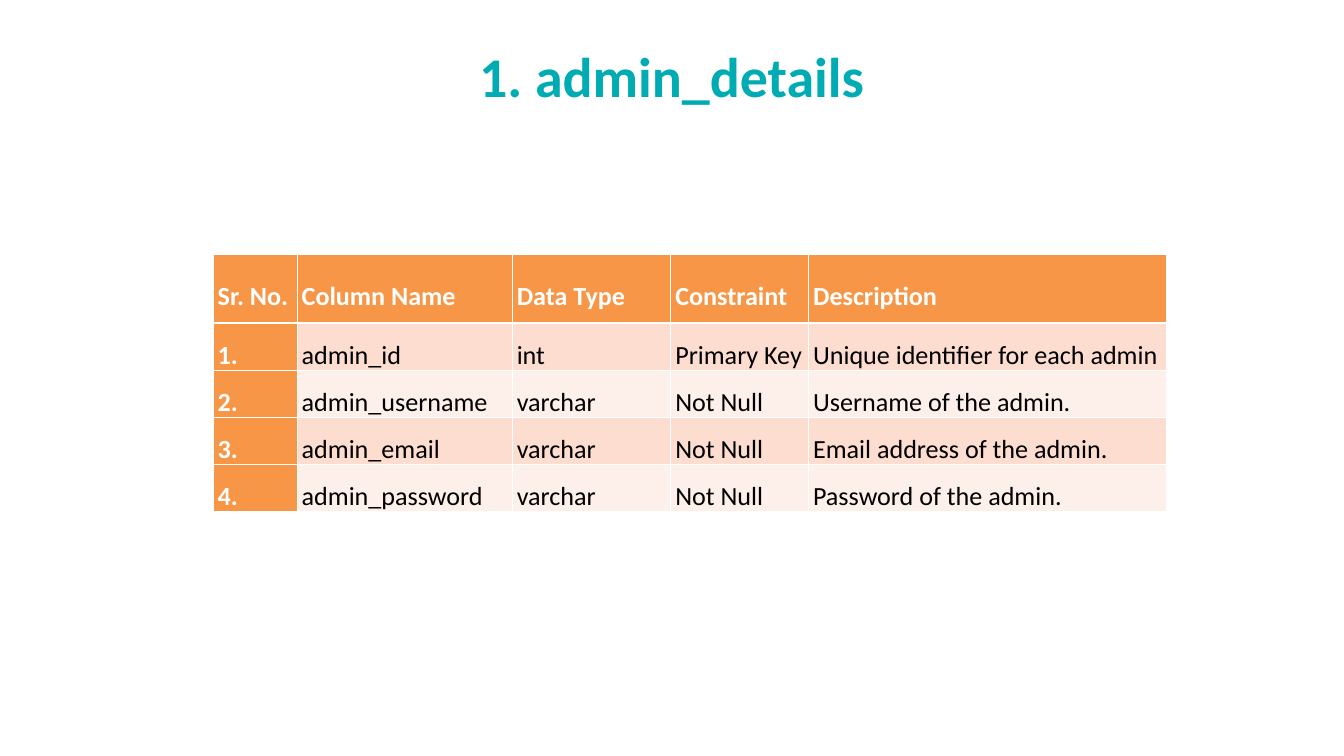
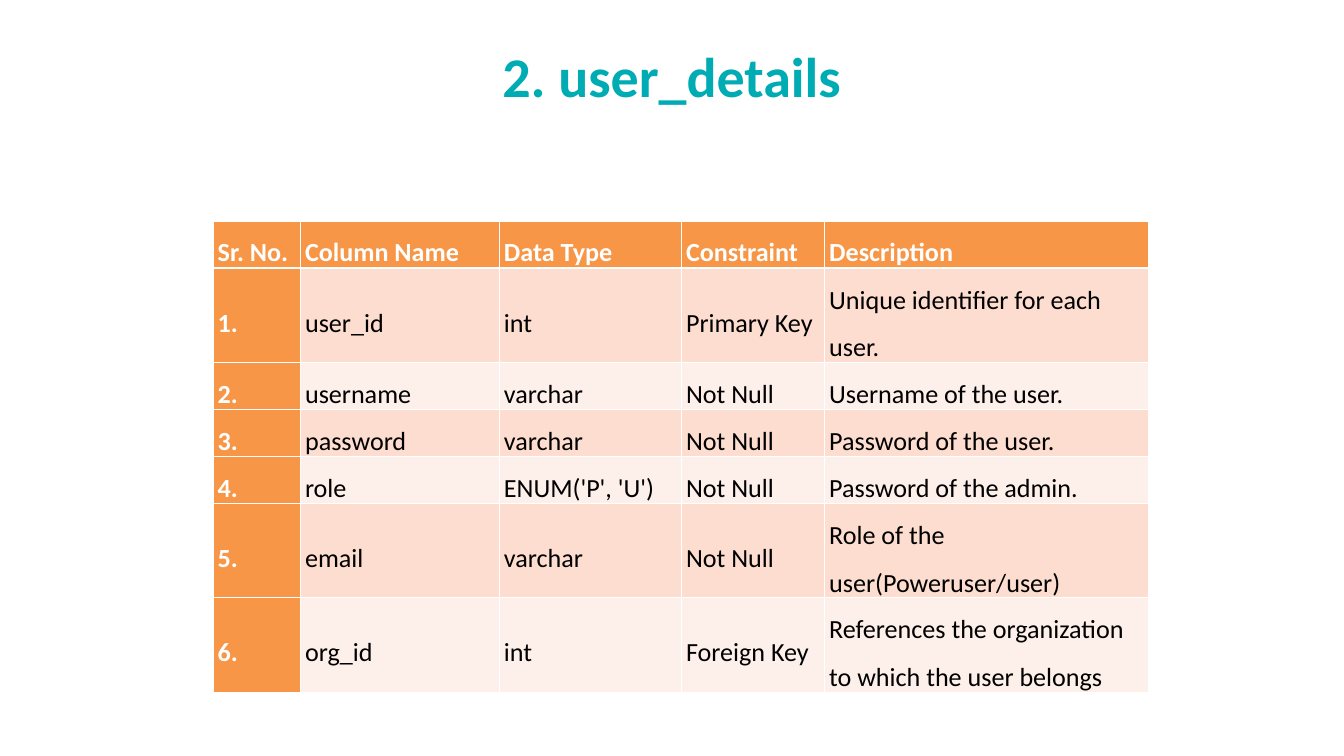
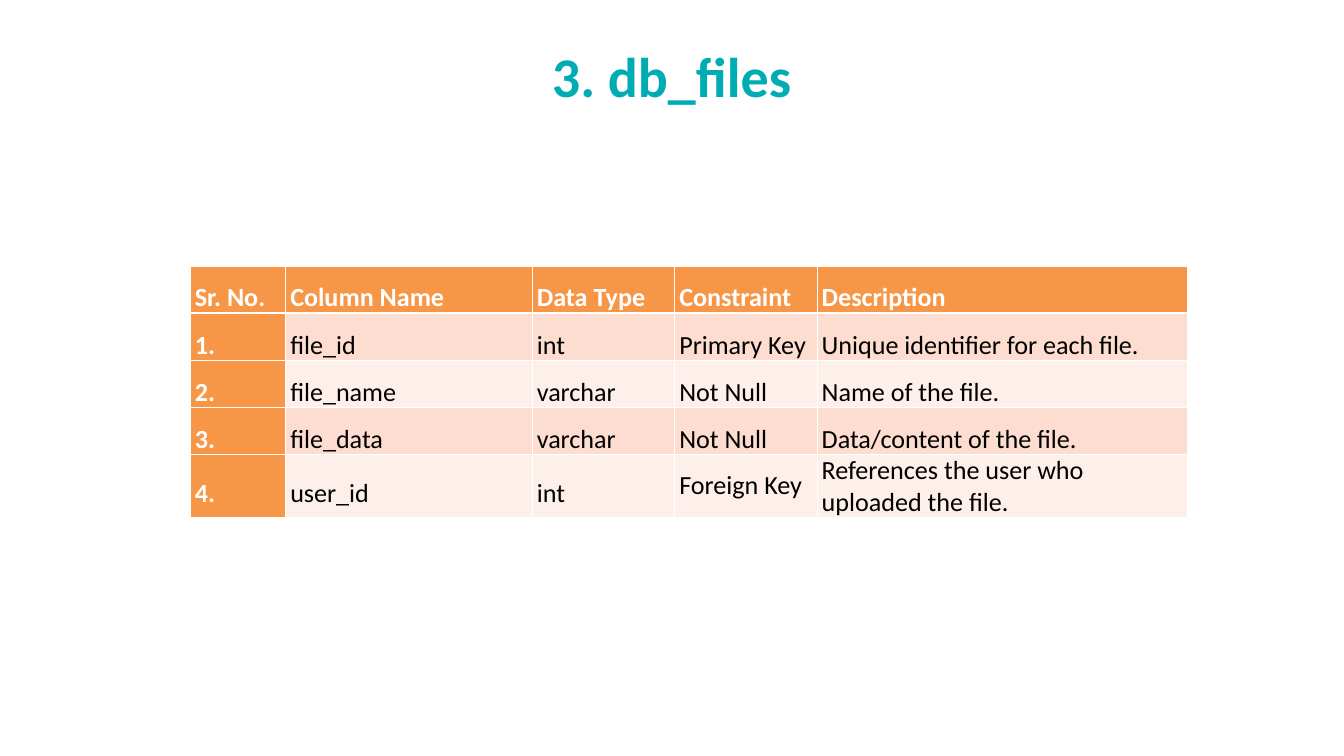
from pptx import Presentation
from pptx.dml.color import RGBColor
from pptx.enum.text import MSO_ANCHOR, MSO_AUTO_SIZE, PP_ALIGN
from pptx.oxml.ns import qn
from pptx.util import Inches, Pt
from lxml.etree import SubElement as Sub

TEAL = RGBColor(0x00, 0xAC, 0xB4)
ORANGE = RGBColor(0xF7, 0x96, 0x46)
PEACH = RGBColor(0xFC, 0xDD, 0xCF)
CREAM = RGBColor(0xFD, 0xEF, 0xE9)
WHITE = RGBColor(0xFF, 0xFF, 0xFF)
BLACK = RGBColor(0x00, 0x00, 0x00)
FONT = "Calibri"
TITLE_BOX = (7.08, 0.62, 5.83, 1)
HEADS = ("Sr. No.", "Column Name", "Data Type", "Constraint", "Description")

# Each table: title, left and top, column widths, row heights, fields,
# alignment of the fields, cells (row, column) with single line spacing
TABLES = [
    ("1. admin_details", (3.17, 3.79),
     (1.25, 3.2, 2.36, 2.05, 5.33), (1.02, 0.51, 0.58, 0.54, 0.56),
     [("admin_id", "int", "Primary Key", "Unique identifier for each admin"),
      ("admin_username", "varchar", "Not Null", "Username of the admin."),
      ("admin_email", "varchar", "Not Null", "Email address of the admin."),
      ("admin_password", "varchar", "Not Null", "Password of the admin.")],
     PP_ALIGN.JUSTIFY, ()),
    ("2. user_details", (3.17, 3.29),
     (1.3, 2.96, 2.71, 2.13, 4.82),
     (0.67, 0.94, 0.47, 0.47, 0.47, 0.94, 0.94),
     [("user_id", "int", "Primary Key", "Unique identifier for each user."),
      ("username", "varchar", "Not Null", "Username of the user."),
      ("password", "varchar", "Not Null", "Password of the user."),
      ("role", "ENUM('P', 'U')", "Not Null", "Password of the admin."),
      ("email", "varchar", "Not Null", "Role of the user(Poweruser/user)"),
      ("org_id", "int", "Foreign Key",
       "References the organization to which the user belongs")],
     PP_ALIGN.LEFT, ()),
    ("3. db_files", (2.83, 3.96),
     (1.42, 3.67, 2.12, 2.12, 5.51), (0.68, 0.68, 0.6, 0.6, 0.93),
     [("file_id", "int", "Primary Key", "Unique identifier for each file."),
      ("file_name", "varchar", "Not Null", "Name of the file."),
      ("file_data", "varchar", "Not Null", "Data/content of the file."),
      ("user_id", "int", "Foreign Key",
       "References the user who uploaded the file.")],
     PP_ALIGN.LEFT, ((4, 3), (4, 4))),
]


def add_run(para, text, size, color, bold):
    run = para.add_run()
    run.text = text
    font = run.font
    font.name, font.size, font.bold = FONT, Pt(size), bold
    font.color.rgb = color


def add_title(slide, text, box):
    title = slide.shapes.title
    title.left, title.top, title.width, title.height = map(Inches, box)
    frame = title.text_frame
    frame.margin_left = frame.margin_right = 0
    frame.margin_top = frame.margin_bottom = 0
    frame.vertical_anchor = MSO_ANCHOR.TOP
    frame.auto_size = MSO_AUTO_SIZE.SHAPE_TO_FIT_TEXT
    para = frame.paragraphs[0]
    para.alignment = PP_ALIGN.CENTER
    add_run(para, text, 60, TEAL, True)


def set_edges(cell, row):
    """Draw white cell borders, thick between the header and the fields."""
    props = cell._tc.get_or_add_tcPr()
    for side in "LRTB":
        thick = (row, side) in ((0, "B"), (1, "T"))
        line = Sub(props, qn("a:ln" + side), w=str(Pt(3 if thick else 1)))
        fill = Sub(line, qn("a:solidFill"))
        Sub(fill, qn("a:srgbClr"), val=str(WHITE))


def fill_cell(cell, text, row, col, align, space):
    key = row == 0 or col == 0
    set_edges(cell, row)
    cell.fill.solid()
    cell.fill.fore_color.rgb = ORANGE if key else PEACH if row % 2 else CREAM
    cell.margin_left = cell.margin_right = Inches(0.07)
    cell.margin_top = cell.margin_bottom = 0
    cell.vertical_anchor = MSO_ANCHOR.MIDDLE
    para = cell.text_frame.paragraphs[0]
    para.alignment = align
    para.line_spacing = space
    add_run(para, text, 28, WHITE if key else BLACK, key)


def add_fields(slide, spot, widths, heights, fields, align, tight):
    rows = [HEADS] + [(f"{num}.", *field) for num, field in enumerate(fields, 1)]
    box = map(Inches, (*spot, sum(widths), sum(heights)))
    table = slide.shapes.add_table(len(rows), len(HEADS), *box).table
    table.first_col = True
    table.horz_banding = False
    for col, width in zip(table.columns, widths):
        col.width = Inches(width)
    for row, height in zip(table.rows, heights):
        row.height = Inches(height)
    for r, texts in enumerate(rows):
        for c, text in enumerate(texts):
            fill_cell(table.cell(r, c), text, r, c,
                      align if r else PP_ALIGN.LEFT,
                      1.0 if (r, c) in tight else 1.5)


def main():
    deck = Presentation()
    deck.slide_width, deck.slide_height = Inches(20), Inches(11.25)
    for title, *parts in TABLES:
        slide = deck.slides.add_slide(deck.slide_layouts[5])
        add_title(slide, title, TITLE_BOX)
        add_fields(slide, *parts)
    deck.save("out.pptx")


if __name__ == "__main__":
    main()
